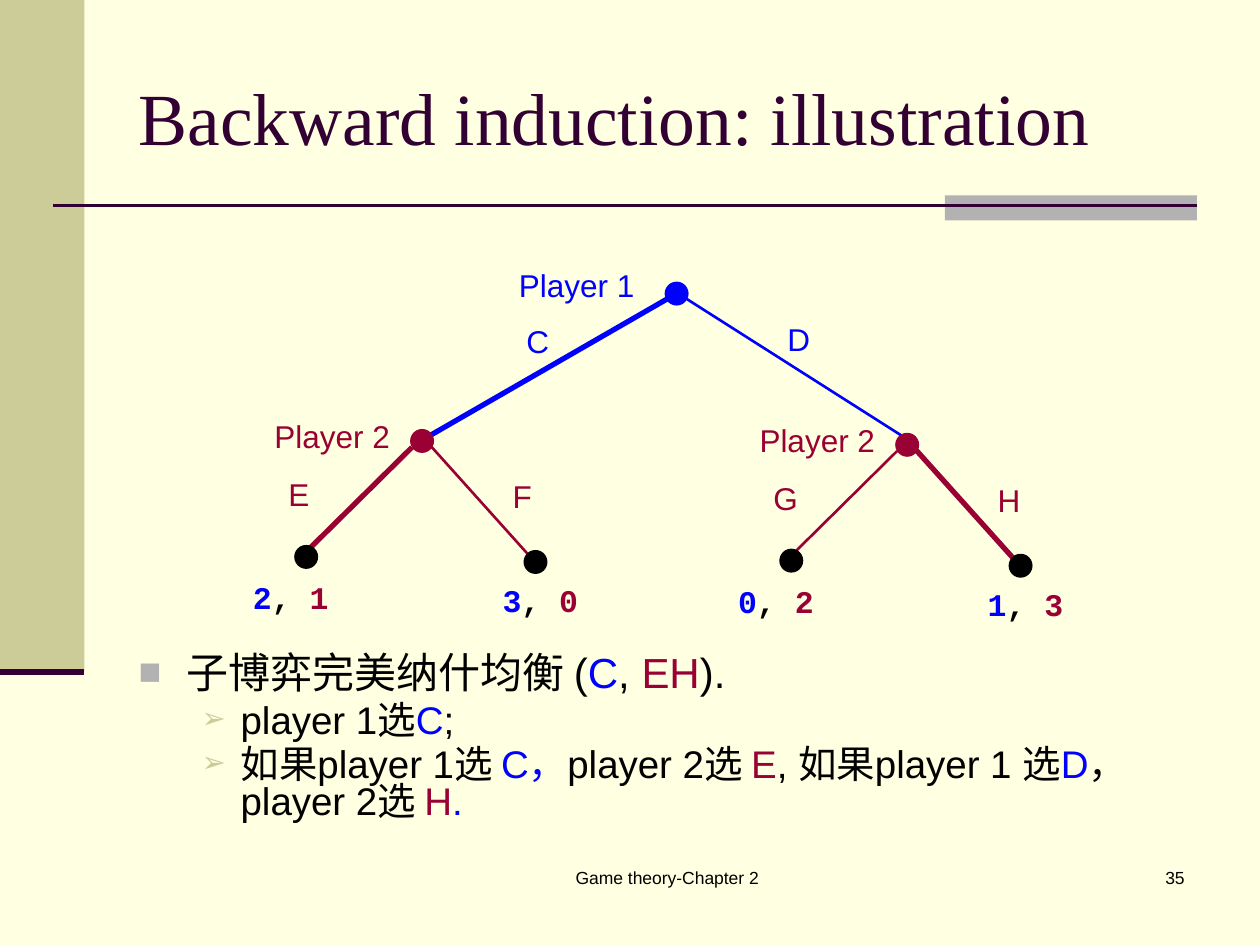
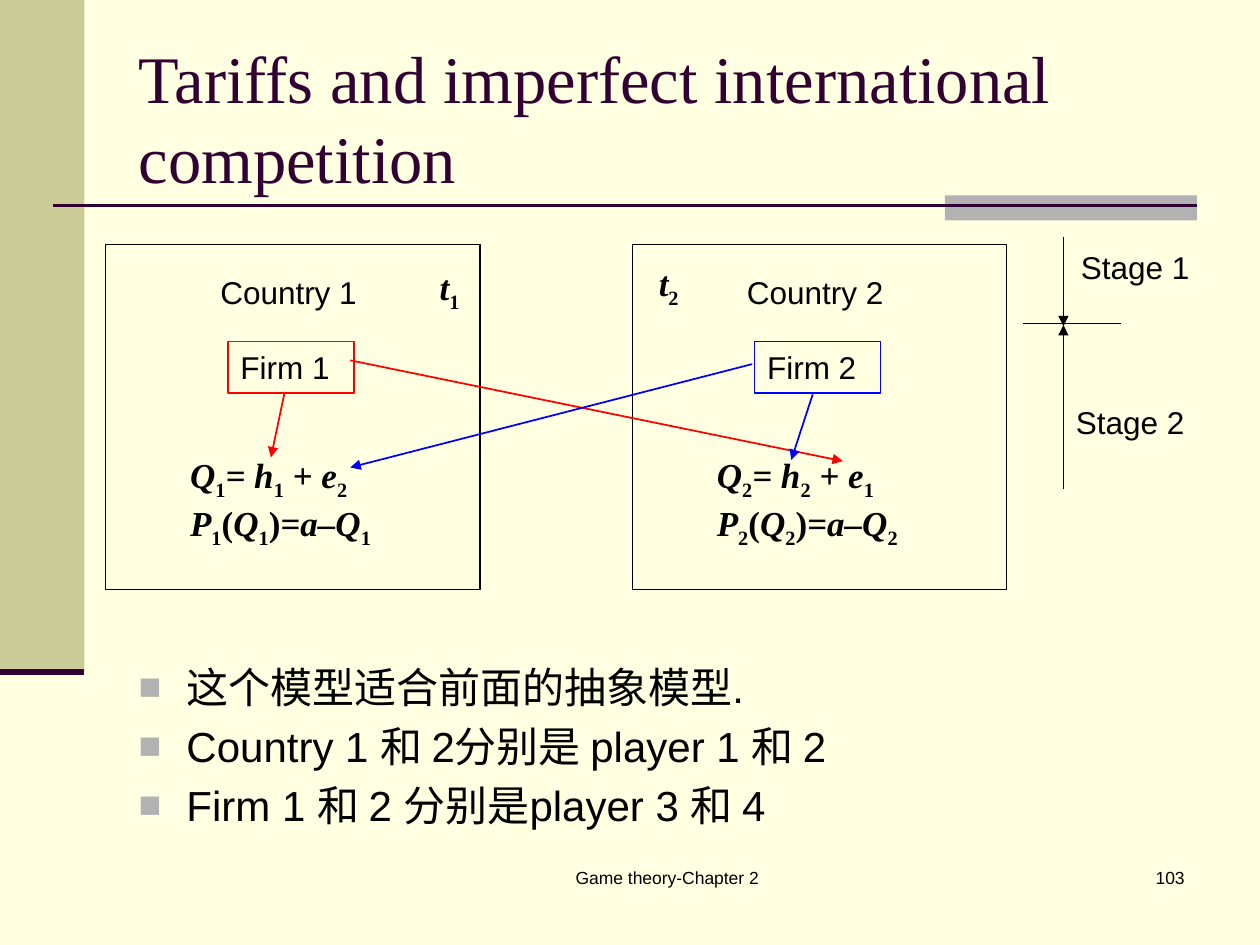
from itertools import groupby

from lxml import etree
from pptx import Presentation
from pptx.dml.color import RGBColor
from pptx.enum.shapes import MSO_CONNECTOR, MSO_SHAPE
from pptx.enum.text import MSO_ANCHOR, MSO_AUTO_SIZE, PP_ALIGN
from pptx.oxml.ns import qn
from pptx.util import Inches, Pt

RECTANGLE, OVAL = MSO_SHAPE.RECTANGLE, MSO_SHAPE.OVAL
STRAIGHT = MSO_CONNECTOR.STRAIGHT
LEFT, CENTER, RIGHT = PP_ALIGN.LEFT, PP_ALIGN.CENTER, PP_ALIGN.RIGHT
TOP, MIDDLE = MSO_ANCHOR.TOP, MSO_ANCHOR.MIDDLE
NO_FIT = MSO_AUTO_SIZE.NONE

SLIDE_WIDTH, SLIDE_HEIGHT = Inches(10), Inches(7.5)
CELL = SLIDE_WIDTH / 100
NODE_SIZE = 1.8

COLORS = {
    "paper": "FFFFE1",
    "sand": "CCCC99",
    "gray": "B2B2B2",
    "plum": "330033",
    "ink": "000000",
    "blue": "0000FF",
    "wine": "990033",
    "red": "FF0000",
}
SANS, SERIF, MONO = "Arial", "Times New Roman", "Courier New"

BULLETS = [
    {"char": "■", "color": "gray", "share": 90, "left": 3.8, "hang": 3.8, "size": 24},
    {"char": "➢", "color": "sand", "share": 75, "left": 8.1, "hang": 3.1, "size": 22},
]


def grid(*cells):
    return [int(CELL * count) for count in cells]


def rgb(name):
    return RGBColor.from_string(COLORS[name])


def write(paragraph, pieces, size, font=SANS, bold=None):
    for words, color in pieces:
        run = paragraph.add_run()
        run.text = words
        run.font.size, run.font.name, run.font.bold = Pt(size), font, bold
        run.font.color.rgb = rgb(color)


def label(slide, box, pieces, size=18, font=SANS, bold=None, align=LEFT):
    frame = slide.shapes.add_textbox(*grid(*box)).text_frame
    frame.word_wrap = True
    paragraph = frame.paragraphs[0]
    paragraph.alignment = align
    write(paragraph, pieces, size, font, bold)
    return paragraph


def formula(slide, box, expression):
    styles = groupby(expression, lambda c: "sub" if c.isdigit() else "upright" if c in "()" else "italic")
    groups = [(style, "".join(chars)) for style, chars in styles]
    pieces = [(words, "ink") for style, words in groups]
    paragraph = label(slide, box, pieces, 20, SERIF, True)
    for (style, words), run in zip(groups, paragraph.runs):
        run.font.italic = style == "italic"
        if style == "sub":
            run.font._element.set("baseline", "-25000")


def block(slide, kind, box, fill=None, outline=None):
    shape = slide.shapes.add_shape(kind, *grid(*box))
    shape.shadow.inherit = False
    if fill:
        shape.fill.solid()
        shape.fill.fore_color.rgb = rgb(fill)
    else:
        shape.fill.background()
    if outline:
        shape.line.color.rgb = rgb(outline)
        shape.line.width = Pt(0.75)
    else:
        shape.line.fill.background()
    return shape


def line(slide, start, end, color, width, arrow=False):
    connector = slide.shapes.add_connector(STRAIGHT, *grid(*start, *end))
    connector.line.color.rgb = rgb(color)
    connector.line.width = Pt(width)
    if arrow:
        etree.SubElement(connector.line._get_or_add_ln(), qn("a:tailEnd"), type="triangle")
    etree.SubElement(connector._element.spPr, qn("a:effectLst"))


def add_bullet(paragraph, level):
    style = BULLETS[level]
    paragraph.level = level
    properties = paragraph._p.get_or_add_pPr()
    left, hang = grid(style["left"], style["hang"])
    properties.set("marL", str(left))
    properties.set("indent", str(-hang))
    color = etree.SubElement(properties, qn("a:buClr"))
    etree.SubElement(color, qn("a:srgbClr"), val=COLORS[style["color"]])
    etree.SubElement(properties, qn("a:buSzPct"), val=str(style["share"] * 1000))
    etree.SubElement(properties, qn("a:buFont"), typeface=SANS)
    etree.SubElement(properties, qn("a:buChar"), char=style["char"])


def place(placeholder, box, anchor):
    placeholder.left, placeholder.top, placeholder.width, placeholder.height = grid(*box)
    frame = placeholder.text_frame
    frame.auto_size, frame.vertical_anchor, frame.word_wrap = NO_FIT, anchor, True
    return frame


def bullet_list(slide, top, items, spacing=1.0):
    frame = place(slide.placeholders[1], (10, top, 85, 67 - top), TOP)
    for index, (level, pieces) in enumerate(items):
        paragraph = frame.add_paragraph() if index else frame.paragraphs[0]
        size = BULLETS[level]["size"]
        paragraph.line_spacing = spacing
        paragraph.space_before = Pt(0.2 * size if index else 0)
        add_bullet(paragraph, level)
        write(paragraph, pieces, size)


def new_slide(deck, title, title_size, number):
    slide = deck.slides.add_slide(deck.slide_layouts[1])
    block(slide, RECTANGLE, (0, 0, 6.7, 53.3), "sand")
    block(slide, RECTANGLE, (75, 15.5, 20, 2), "gray")
    line(slide, (4.2, 16.3), (95, 16.3), "plum", 1.5)
    line(slide, (0, 53.3), (6.7, 53.3), "plum", 3.5)
    label(slide, (36.7, 68.3, 32.5, 5), [("Game theory-Chapter 2", "ink")], 10, align=CENTER)
    label(slide, (74.2, 68.3, 20.8, 5), [(number, "ink")], 10, align=RIGHT)
    heading = place(slide.shapes.title, (10, 3, 85, 12.5), MIDDLE).paragraphs[0]
    heading.alignment = LEFT
    write(heading, [(title, "plum")], title_size, SERIF)
    return slide


def node(slide, left, top, color):
    block(slide, OVAL, (left, top, NODE_SIZE, NODE_SIZE), color, color)


def subtree(slide, x, y, moves, payoffs, chosen):
    label(slide, (x - 11.8, y - 1.5, 11.7, 4), [("Player 2", "wine")])
    branches = [
        ((0.1, 1.4), (-8.3, 9.7), (-10.7, 3.1), (-9.2, 9.2), (-13.5, 11.3)),
        ((1.5, 1.2), (9.4, 10), (7.1, 3.3), (9, 9.6), (6.3, 11.5)),
    ]
    for move, payoff, branch in zip(moves, payoffs, branches):
        start, end, name_at, leaf, payoff_at = [(x + dx, y + dy) for dx, dy in branch]
        line(slide, start, end, "wine", 3 if move == chosen else 1.5)
        label(slide, (*name_at, 4.7, 4), [(move, "wine")])
        node(slide, *leaf, "ink")
        first, second = payoff
        label(slide, (*payoff_at, 8.4, 4), [(first, "blue"), (", ", "ink"), (second, "wine")], font=MONO, bold=True)
    node(slide, x, y, "wine")


def game_tree(slide):
    line(slide, (53, 23.7), (33.9, 34.7), "blue", 3)
    line(slide, (54.3, 23.6), (71.6, 34.6), "blue", 1.5)
    node(slide, 52.8, 22.4, "blue")
    for name, left, top in [("Player 1", 40.2, 20.6), ("C", 40.8, 25.1), ("D", 61.5, 24.9)]:
        label(slide, (left, top, 11.8 if len(name) > 1 else 4.7, 4), [(name, "blue")])
    subtree(slide, 32.6, 34.1, "EF", ["21", "30"], "E")
    subtree(slide, 71.1, 34.4, "GH", ["02", "13"], "H")


def country(slide, own, other, x, firm_color):
    block(slide, RECTANGLE, (x, 19.4, 29.7, 27.4), outline="ink")
    label(slide, (x + 8.1, 21.2, 13.2, 4), [(f"Country {own}", "ink")])
    block(slide, RECTANGLE, (x + 9.7, 27.1, 10, 4.1), outline=firm_color)
    label(slide, (x + 9.7, 27.1, 10, 4.1), [(f"Firm {own}", "ink")])
    formula(slide, (x + 5.7, 35.5, 17.9, 7.7), f"Q{own}= h{own} + e{other} P{own}(Q{own})=a–Q{own}")


def trade_flows(slide):
    flows = [
        ((22.6, 31.1), (21.5, 36.3), "red"),
        ((27.8, 28.6), (66.9, 36.6), "red"),
        ((59.7, 28.9), (27.8, 37.1), "blue"),
        ((64.5, 31.3), (62.8, 36.5), "blue"),
    ]
    for start, end, color in flows:
        line(slide, start, end, color, 1, arrow=True)


def stage_timeline(slide):
    line(slide, (81.2, 25.7), (89, 25.7), "ink", 0.75)
    for outer_end, meeting in [(18.8, 25.9), (38.8, 25.8)]:
        line(slide, (84.4, outer_end), (84.4, meeting), "ink", 0.75, arrow=True)
    label(slide, (84.8, 19.2, 11.2, 4), [("Stage 1", "ink")])
    label(slide, (84.4, 31.5, 13.1, 4), [("Stage 2", "ink")])


def backward_induction(deck):
    slide = new_slide(deck, "Backward induction: illustration", 42, "35")
    game_tree(slide)
    bullet_list(slide, 51.6, [
        (0, [("子博弈完美纳什均衡 (", "ink"), ("C", "blue"), (", ", "ink"), ("EH", "wine"), (").", "ink")]),
        (1, [("player 1选", "ink"), ("C", "blue"), (";", "ink")]),
        (1, [("如果player 1选 ", "ink"), ("C，", "blue"), ("player 2选 ", "ink"), ("E", "wine"),
             (", 如果player 1 选", "ink"), ("D", "blue"), ("， player 2选 ", "ink"), ("H", "wine"),
             (".", "blue")]),
    ], 0.8)


def tariffs(deck):
    slide = new_slide(deck, "Tariffs and imperfect international competition", 38, "103")
    country(slide, 1, 2, 8.4, "red")
    country(slide, 2, 1, 50.2, "blue")
    formula(slide, (33.9, 20.6, 4.5, 4.3), "t1")
    formula(slide, (51.3, 20.3, 4.5, 4.3), "t2")
    trade_flows(slide)
    stage_timeline(slide)
    findings = ["这个模型适合前面的抽象模型.", "Country 1 和 2分别是 player 1 和 2", "Firm 1 和 2 分别是player 3 和 4"]
    bullet_list(slide, 52, [(0, [(finding, "ink")]) for finding in findings])


def main():
    deck = Presentation()
    deck.slide_width, deck.slide_height = SLIDE_WIDTH, SLIDE_HEIGHT
    backdrop = deck.slide_master.background.fill
    backdrop.solid()
    backdrop.fore_color.rgb = rgb("paper")
    backward_induction(deck)
    tariffs(deck)
    deck.save("out.pptx")


if __name__ == "__main__":
    main()
